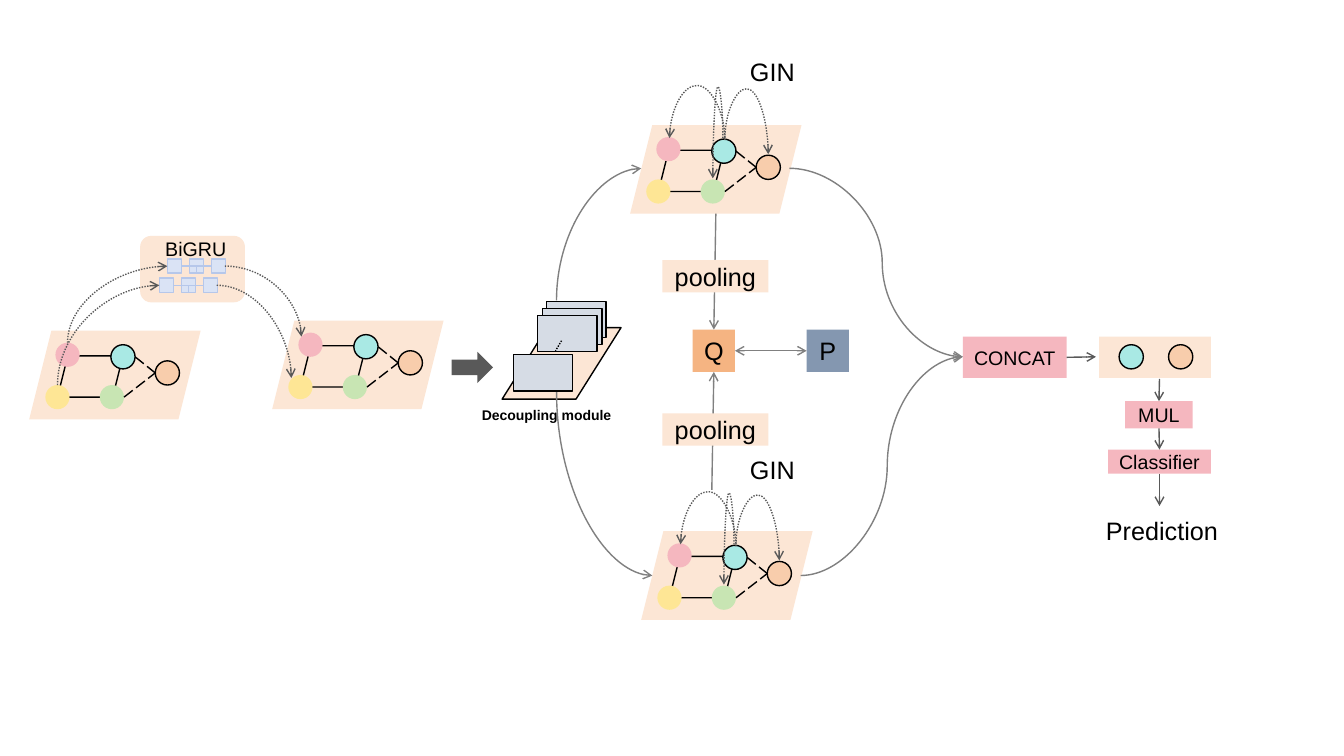
from lxml import etree
from pptx import Presentation
from pptx.dml.color import RGBColor
from pptx.enum.dml import MSO_LINE
from pptx.enum.shapes import MSO_CONNECTOR, MSO_SHAPE
from pptx.enum.text import MSO_ANCHOR, PP_ALIGN
from pptx.oxml.ns import qn
from pptx.util import Inches, Pt

RECT, ROUND, OVAL = MSO_SHAPE.RECTANGLE, MSO_SHAPE.ROUNDED_RECTANGLE, MSO_SHAPE.OVAL
SLANT, BLOCK_ARROW = MSO_SHAPE.PARALLELOGRAM, MSO_SHAPE.RIGHT_ARROW
STRAIGHT, CURVE = MSO_CONNECTOR.STRAIGHT, MSO_CONNECTOR.CURVE
LONG_DASH, DOTS = MSO_LINE.LONG_DASH, MSO_LINE.ROUND_DOT
TOP, LEFT, BOTTOM, RIGHT = range(4)

BLACK = RGBColor(0x00, 0x00, 0x00)
DARK = RGBColor(0x59, 0x59, 0x59)
GRAY = RGBColor(0x80, 0x80, 0x80)
PEACH = RGBColor(0xFC, 0xE6, 0xD5)
PINK = RGBColor(0xF5, 0xB7, 0xBF)
TEAL = RGBColor(0xA9, 0xE9, 0xE4)
YELLOW = RGBColor(0xFE, 0xE6, 0x95)
GREEN = RGBColor(0xC8, 0xE5, 0xB3)
APRICOT = RGBColor(0xF8, 0xCD, 0xAC)
ORANGE = RGBColor(0xF5, 0xB4, 0x82)
SLATE = RGBColor(0x84, 0x97, 0xB0)
SHEET = RGBColor(0xD6, 0xDC, 0xE5)
CELL = RGBColor(0xDA, 0xE3, 0xF5)
CELL_LINE = RGBColor(0xB6, 0xC7, 0xEA)


def write(tf, text, size=18, bold=False, align=PP_ALIGN.LEFT):
    p = tf.paragraphs[0]
    p.alignment = align
    r = p.add_run()
    r.text = text
    r.font.name = "Arial"
    r.font.size = Pt(size)
    r.font.bold = bold
    r.font.color.rgb = BLACK


class Diagram:
    def __init__(self, slide):
        self.shapes = slide.shapes

    def shape(self, kind, x, y, w, h, fill=None, line=None, text=None, size=18, adj=None):
        sp = self.shapes.add_shape(kind, Inches(x), Inches(y), Inches(w), Inches(h))
        sp.shadow.inherit = False
        if adj is not None:
            sp.adjustments[0] = adj
        if fill is None:
            sp.fill.background()
        else:
            sp.fill.solid()
            sp.fill.fore_color.rgb = fill
        if line is None:
            sp.line.fill.background()
        else:
            sp.line.color.rgb = line
            sp.line.width = Pt(1)
        if text:
            tf = sp.text_frame
            tf.word_wrap = False
            tf.vertical_anchor = MSO_ANCHOR.MIDDLE
            tf.margin_left = tf.margin_right = tf.margin_top = tf.margin_bottom = 0
            write(tf, text, size, align=PP_ALIGN.CENTER)
        return sp

    def label(self, x, y, w, h, text, **style):
        tf = self.shapes.add_textbox(Inches(x), Inches(y), Inches(w), Inches(h)).text_frame
        tf.word_wrap = True
        write(tf, text, **style)

    def connector(self, kind, start, end, color, dash=None, ends=()):
        c = self.shapes.add_connector(kind, *(Inches(v) for v in (*start, *end)))
        c.line.color.rgb = color
        c.line.width = Pt(1)
        if dash:
            c.line.dash_style = dash
        ln = c.line._get_or_add_ln()
        for tag in ends:
            etree.SubElement(ln, qn(tag)).set("type", "arrow")
        etree.SubElement(c._element.spPr, qn("a:effectLst"))
        return c

    def line(self, start, end, color=BLACK, dash=None):
        self.connector(STRAIGHT, start, end, color, dash)

    def arrow(self, start, end, color=DARK, both=False, source=None, target=None):
        """Straight arrow; source and target are (shape, side) pairs to join."""
        ends = ("a:headEnd", "a:tailEnd") if both else ("a:tailEnd",)
        c = self.connector(STRAIGHT, start, end, color, ends=ends)
        if source:
            c.begin_connect(*source)
        if target:
            c.end_connect(*target)

    def curve(self, start, end, color=DARK, dash=DOTS, vertical=True, bend=None):
        """Curved arrow leaving vertically or sideways; bend is where it turns back."""
        (x1, y1), (x2, y2) = start, end
        dx, dy = x2 - x1, y2 - y1
        if vertical:
            rot, along, w, h = (90 if dy > 0 else 270), dy, abs(dy), abs(dx)
            flip = dx * dy > 0 if dy > 0 else dx < 0
        else:
            rot, along, w, h, flip = 0, dx, dx, abs(dy), dy < 0
        cx, cy = (x1 + x2) / 2, (y1 + y2) / 2
        top, bottom = cy - h / 2, cy + h / 2
        if flip:
            top, bottom = bottom, top
        c = self.connector(CURVE, (cx - w / 2, top), (cx + w / 2, bottom),
                           color, dash, ("a:tailEnd",))
        spPr = c._element.spPr
        spPr.find(qn("a:xfrm")).set("rot", str(rot * 60000))
        geom = spPr.find(qn("a:prstGeom"))
        if bend is None:
            geom.set("prst", "curvedConnector2")
        else:
            ratio = (bend - (y1 if vertical else x1)) / along
            gd = etree.SubElement(geom.find(qn("a:avLst")), qn("a:gd"))
            gd.set("name", "adj1")
            gd.set("fmla", f"val {round(ratio * 100000)}")

    def node(self, x, y, fill, line=None):
        self.shape(OVAL, x, y, 0.24, 0.24, fill, line)

    def graph(self, x, y, arcs=False):
        self.shape(SLANT, x, y, 1.7, 0.88, PEACH)
        self.shape(SLANT, x + 0.28, y + 0.25, 0.65, 0.41, line=BLACK)
        for dx, dy, fill, line in [(0.26, 0.12, PINK, None), (0.81, 0.14, TEAL, BLACK),
                                   (0.16, 0.54, YELLOW, None), (0.7, 0.54, GREEN, None),
                                   (1.25, 0.3, APRICOT, BLACK)]:
            self.node(x + dx, y + dy, fill, line)
        for dx, dy in [(1.05, 0.26), (0.94, 0.66)]:
            self.line((x + dx, y + dy), (x + 1.25, y + 0.42), dash=LONG_DASH)
        if arcs:
            for x1, y1, x2, y2, bend in [(0.94, 0.15, 0.39, 0.13, -0.39),
                                         (0.92, 0.13, 0.82, 0.53, -0.38),
                                         (0.94, 0.13, 1.37, 0.29, -0.36)]:
                self.curve((x + x1, y + y1), (x + x2, y + y2), bend=y + bend)

    def gru_row(self, x, y):
        for i in range(3):
            self.shape(RECT, x + 0.22 * i, y, 0.14, 0.14, CELL, CELL_LINE)
        self.line((x + 0.14, y + 0.07), (x + 0.44, y + 0.07), CELL_LINE)
        self.line((x + 0.29, y + 0.07), (x + 0.29, y + 0.14), CELL_LINE)


def draw_encoder(d):
    d.graph(0.29, 3.28)
    d.graph(2.7, 3.18)
    d.shape(ROUND, 1.39, 2.34, 1.04, 0.66, PEACH)
    d.gru_row(1.66, 2.57)
    d.gru_row(1.58, 2.76)
    for start, end, vertical in [((0.67, 3.4), (1.66, 2.64), True),
                                 ((0.57, 3.82), (1.58, 2.83), True),
                                 ((2.15, 2.83), (2.89, 3.75), False),
                                 ((2.23, 2.64), (2.99, 3.34), False)]:
        d.curve(start, end, vertical=vertical)
    d.label(1.54, 2.3, 1.05, 0.34, "BiGRU", size=14)
    d.shape(BLOCK_ARROW, 4.48, 3.49, 0.41, 0.31, DARK)


def draw_decoupling(d):
    d.label(4.68, 3.98, 1.78, 0.27, "Decoupling module", size=10, bold=True)
    d.shape(SLANT, 4.98, 3.25, 1.18, 0.71, PEACH, BLACK, adj=0.63)
    for x, y in [(5.42, 2.99), (5.38, 3.06), (5.33, 3.13), (5.09, 3.52)]:
        d.shape(RECT, x, y, 0.59, 0.36, SHEET, BLACK)
    d.line((5.57, 3.38), (5.51, 3.48), dash=DOTS)


def draw_branches(d):
    q = d.shape(RECT, 6.87, 3.27, 0.42, 0.42, ORANGE, text="Q")
    p = d.shape(RECT, 8, 3.27, 0.42, 0.42, SLATE, text="P")
    d.arrow((7.06, 4.86), (7.08, 3.69), GRAY, target=(q, BOTTOM))
    d.arrow((7.1, 2.11), (7.08, 3.27), GRAY, target=(q, TOP))
    d.arrow((7.29, 3.48), (8, 3.48), GRAY, True, (q, RIGHT), (p, LEFT))
    for x, y, pool_y, gin_y in [(6.25, 1.24, 2.58, 0.51), (6.36, 5.27, 4.1, 4.46)]:
        d.graph(x, y, arcs=True)
        d.shape(RECT, 6.57, pool_y, 1.05, 0.32, PEACH, text="pooling")
        d.label(7.34, gin_y, 0.66, 0.4, "GIN")
    d.curve((5.52, 2.98), (6.36, 1.67), GRAY, None)
    d.curve((5.52, 3.89), (6.47, 5.71), GRAY, None)
    d.curve((7.83, 1.67), (9.55, 3.54), GRAY, None, vertical=False, bend=8.75)
    d.curve((7.94, 5.71), (9.55, 3.54), GRAY, None, vertical=False, bend=8.8)


def draw_prediction(d):
    d.shape(RECT, 10.9, 3.34, 1.11, 0.41, PEACH)
    d.node(11.1, 3.42, TEAL, BLACK)
    d.node(11.59, 3.42, APRICOT, BLACK)
    concat = d.shape(RECT, 9.55, 3.34, 1.03, 0.41, PINK, text="CONCAT", size=14)
    mul = d.shape(RECT, 11.16, 3.98, 0.67, 0.27, PINK, text="MUL", size=14)
    classifier = d.shape(RECT, 10.99, 4.46, 1.02, 0.24, PINK, text="Classifier", size=14)
    d.arrow((10.58, 3.54), (10.87, 3.54), source=(concat, RIGHT))
    d.arrow((11.5, 3.76), (11.5, 3.98), target=(mul, TOP))
    d.arrow((11.5, 4.25), (11.5, 4.46), source=(mul, BOTTOM), target=(classifier, TOP))
    d.arrow((11.5, 4.7), (11.5, 5.02), source=(classifier, BOTTOM))
    d.label(10.87, 5.06, 1.37, 0.4, "Prediction")


def main():
    prs = Presentation()
    prs.slide_width, prs.slide_height = Inches(13.33), Inches(7.5)
    d = Diagram(prs.slides.add_slide(prs.slide_layouts[6]))
    draw_encoder(d)
    draw_decoupling(d)
    draw_branches(d)
    draw_prediction(d)
    prs.save("out.pptx")


if __name__ == "__main__":
    main()
